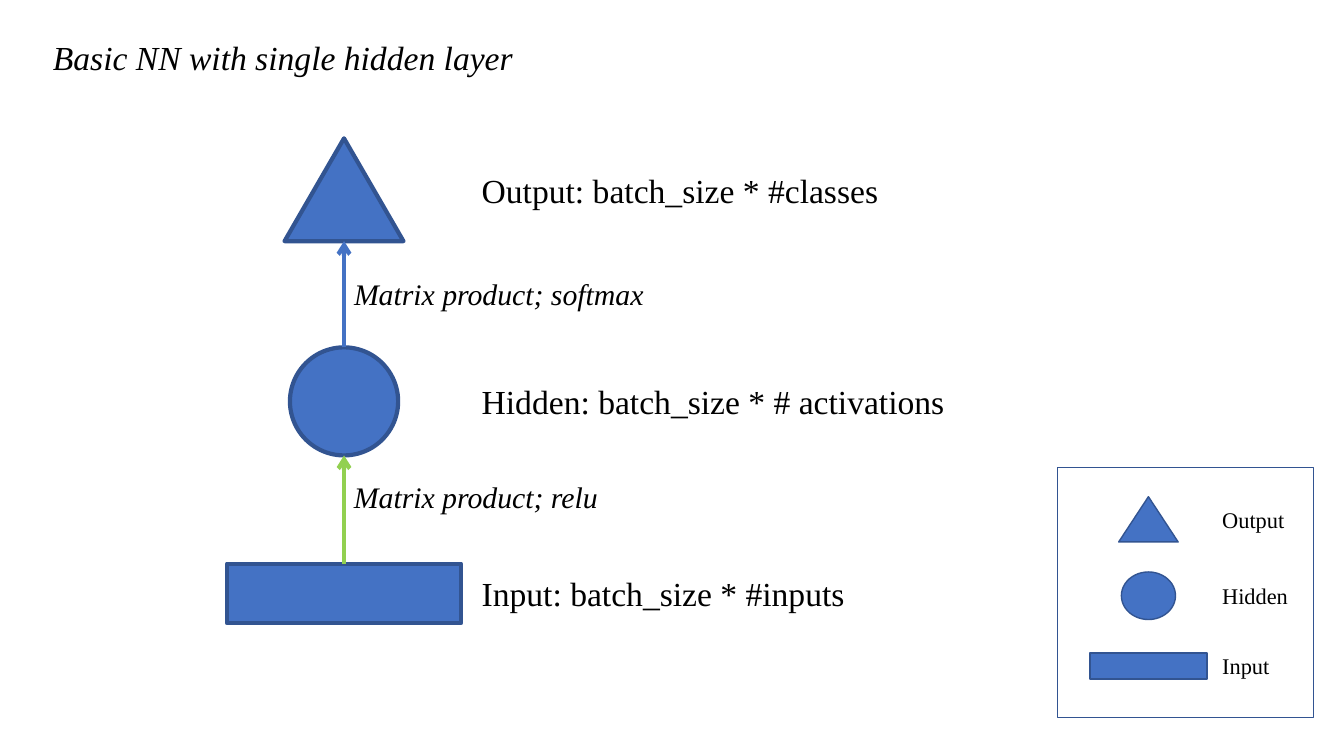
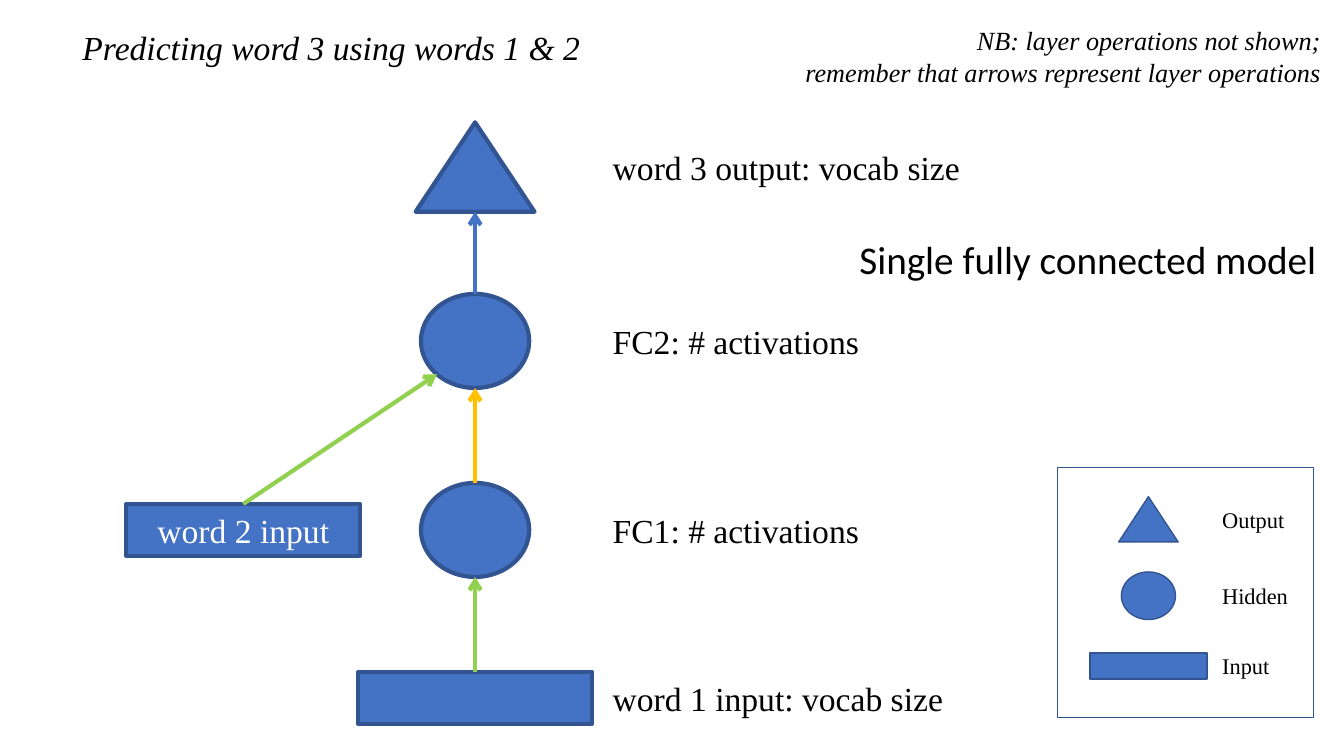
import dataclasses
import math
import typing

import lxml.etree
import pptx
import pptx.dml.color
import pptx.enum.shapes
import pptx.enum.text
import pptx.oxml.ns
import pptx.slide
import pptx.text.text
import pptx.util

# The grid has 100 columns and 100 rows; all lengths below count them.
WIDTH = pptx.util.Inches(13.33)
HEIGHT = pptx.util.Inches(7.5)
COL, ROW = WIDTH / 100, HEIGHT / 100

COLORS = {
    "node": "4472C4",
    "outline": "325491",
    "from_input": "92D050",
    "from_hidden": "FFC000",
    "to_output": "4472C4",
    "text": "000000",
    "inverse": "FFFFFF",
}
SERIF, SANS = "Times New Roman", "Calibri"
HEAVY, THIN = 3, 1
LABEL_GAP = 9.5  # from the centre of a node to its label

MSO = pptx.enum.shapes.MSO_SHAPE
ALIGN = pptx.enum.text.PP_ALIGN


@dataclasses.dataclass(frozen=True)
class Kind:
    preset: MSO
    width: float
    height: float


INPUT = Kind(MSO.RECTANGLE, 17.4, 7.9)
HIDDEN = Kind(MSO.OVAL, 8.05, 14.3)
OUTPUT = Kind(MSO.ISOSCELES_TRIANGLE, 8.85, 13.6)


@dataclasses.dataclass(frozen=True)
class Scale:
    x: float
    y: float


FULL, FLAT, LEGEND = Scale(1, 1), Scale(1, 0.87), Scale(0.5, 0.44)


@dataclasses.dataclass(frozen=True)
class Node:
    kind: Kind
    x: float
    y: float
    scale: Scale = FULL
    label: str = ""
    label_width: float = 0
    caption: str = ""

    @property
    def w(self) -> float:
        return self.kind.width * self.scale.x

    @property
    def h(self) -> float:
        return self.kind.height * self.scale.y

    @property
    def top(self) -> tuple[float, float]:
        return self.x, self.y - self.h / 2

    @property
    def bottom(self) -> tuple[float, float]:
        return self.x, self.y + self.h / 2

    @property
    def lower_left(self) -> tuple[float, float]:
        """Point on an ellipse halfway between its left and bottom."""
        share = math.sqrt(0.5) / 2
        return self.x - self.w * share, self.y + self.h * share


@dataclasses.dataclass(frozen=True)
class Arrow:
    start: tuple[float, float]
    end: tuple[float, float]
    color: str


def rgb(name: str) -> pptx.dml.color.RGBColor:
    return pptx.dml.color.RGBColor.from_string(COLORS[name])


def write(tf: pptx.text.text.TextFrame, text: str, *, size: float = 24,
          color: str = "text", font: str = SERIF, italic: bool = False,
          align: ALIGN = ALIGN.LEFT) -> None:
    p = tf.paragraphs[0]
    p.text = text
    p.alignment = align
    for r in p.runs:
        r.font.name = font
        r.font.size = pptx.util.Pt(size)
        r.font.italic = italic
        r.font.color.rgb = rgb(color)


def add_text(slide: pptx.slide.Slide, text: str, x: float, y: float,
             width: float, *, size: float = 24, wrap: bool = False,
             **style: typing.Any) -> None:
    """Place text with its left edge at x, centred vertically on y."""
    lines = len(text.splitlines())
    height = pptx.util.Pt(lines * size * 1.2) + pptx.util.Inches(0.1)
    box = slide.shapes.add_textbox(
        round(x * COL), round(y * ROW - height / 2), round(width * COL), height)
    tf = box.text_frame
    tf.word_wrap = wrap
    tf.auto_size = pptx.enum.text.MSO_AUTO_SIZE.SHAPE_TO_FIT_TEXT
    write(tf, text, size=size, **style)


def add_outlined(slide: pptx.slide.Slide, preset: MSO, x: float, y: float,
                 w: float, h: float, line_width: float,
                 filled: bool = True) -> pptx.text.text.TextFrame:
    """Draw a shape centred on x, y and return its text frame."""
    sp = slide.shapes.add_shape(
        preset, round((x - w / 2) * COL), round((y - h / 2) * ROW),
        round(w * COL), round(h * ROW))
    sp.shadow.inherit = False
    if filled:
        sp.fill.solid()
        sp.fill.fore_color.rgb = rgb("node")
    else:
        sp.fill.background()
    sp.line.color.rgb = rgb("outline")
    sp.line.width = pptx.util.Pt(line_width)
    return sp.text_frame


def add_node(slide: pptx.slide.Slide, node: Node, *,
             line_width: float = HEAVY, label_size: float = 24) -> None:
    tf = add_outlined(slide, node.kind.preset, node.x, node.y,
                      node.w, node.h, line_width)
    if node.caption:
        tf.vertical_anchor = pptx.enum.text.MSO_ANCHOR.MIDDLE
        write(tf, node.caption, color="inverse", align=ALIGN.CENTER)
    if node.label:
        add_text(slide, node.label, node.x + LABEL_GAP * node.scale.x, node.y,
                 node.label_width, size=label_size)


def add_arrow(slide: pptx.slide.Slide, arrow: Arrow) -> None:
    (x1, y1), (x2, y2) = arrow.start, arrow.end
    line = slide.shapes.add_connector(
        pptx.enum.shapes.MSO_CONNECTOR.STRAIGHT, round(x1 * COL),
        round(y1 * ROW), round(x2 * COL), round(y2 * ROW))
    line.line.color.rgb = rgb(arrow.color)
    line.line.width = pptx.util.Pt(HEAVY)
    qn = pptx.oxml.ns.qn
    sp_pr = line._element.spPr
    lxml.etree.SubElement(sp_pr.find(qn("a:ln")), qn("a:tailEnd"), type="arrow")
    lxml.etree.SubElement(sp_pr, qn("a:effectLst"))


def add_legend(slide: pptx.slide.Slide) -> None:
    add_outlined(slide, MSO.RECTANGLE, 88.2, 78.4, 19.05, 33.05, THIN,
                 filled=False)
    for kind, y, label, width in (
        (INPUT, 88.1, "Input", 5.1),
        (HIDDEN, 78.8, "Hidden", 6.45),
        (OUTPUT, 68.7, "Output", 6.2),
    ):
        add_node(slide, Node(kind, 85.45, y, LEGEND, label, width),
                 line_width=THIN, label_size=16)


def add_diagram(prs: pptx.Presentation, nodes: list[Node],
                arrows: list[Arrow]) -> pptx.slide.Slide:
    """Add a slide with a network and the legend."""
    slide = prs.slides.add_slide(prs.slide_layouts[6])
    for node in nodes:
        add_node(slide, node)
    for arrow in arrows:
        add_arrow(slide, arrow)
    add_legend(slide)
    return slide


def build_basic_network(prs: pptx.Presentation) -> None:
    x = 25.6
    inputs = Node(INPUT, x, 78.5, FULL, "Input: batch_size * #inputs", 28.75)
    hidden = Node(HIDDEN, x, 53.1, FULL, "Hidden: batch_size * # activations", 36.2)
    output = Node(OUTPUT, x, 25.1, FULL, "Output: batch_size * #classes", 31.3)
    slide = add_diagram(prs, [inputs, hidden, output], [
        Arrow(inputs.top, hidden.bottom, "from_input"),
        Arrow(hidden.top, output.bottom, "to_output"),
    ])
    for text, y, width in (("Matrix product; relu", 65.7, 19.9),
                           ("Matrix product; softmax", 38.9, 23.3)):
        add_text(slide, text, x, y, width, size=21.3, italic=True)
    add_text(slide, "Basic NN with single hidden layer", 3.2, 7.5, 36.1,
             italic=True)


def build_word_model(prs: pptx.Presentation) -> None:
    x = 35.35
    word1 = Node(INPUT, x, 92.3, FLAT, "word 1 input: vocab size", 26.35)
    fc1 = Node(HIDDEN, x, 70.1, FLAT, "FC1: # activations", 20.05)
    fc2 = Node(HIDDEN, x, 45.1, FLAT, "FC2: # activations", 20.05)
    word3 = Node(OUTPUT, x, 22.1, FLAT, "word 3 output: vocab size", 27.6)
    word2 = Node(INPUT, 18.1, fc1.y, FLAT, caption="word 2 input")
    slide = add_diagram(prs, [word1, fc1, fc2, word3, word2], [
        Arrow(word1.top, fc1.bottom, "from_input"),
        Arrow(fc1.top, fc2.bottom, "from_hidden"),
        Arrow(fc2.top, word3.bottom, "to_output"),
        Arrow(word2.top, fc2.lower_left, "from_input"),
    ])
    add_text(slide, "Predicting word 3 using words 1 & 2", 5.4, 6.3, 38.85,
             italic=True)
    add_text(slide, "NB: layer operations not shown;\n"
             "remember that arrows represent layer operations",
             56.6, 7.4, 42.4, size=18.7, wrap=True, italic=True,
             align=ALIGN.RIGHT)
    add_text(slide, "Single fully connected model", 63.2, 34.2, 35.85,
             size=28, font=SANS)


def main() -> None:
    prs = pptx.Presentation()
    prs.slide_width, prs.slide_height = WIDTH, HEIGHT
    build_basic_network(prs)
    build_word_model(prs)
    prs.save("out.pptx")


if __name__ == "__main__":
    main()
